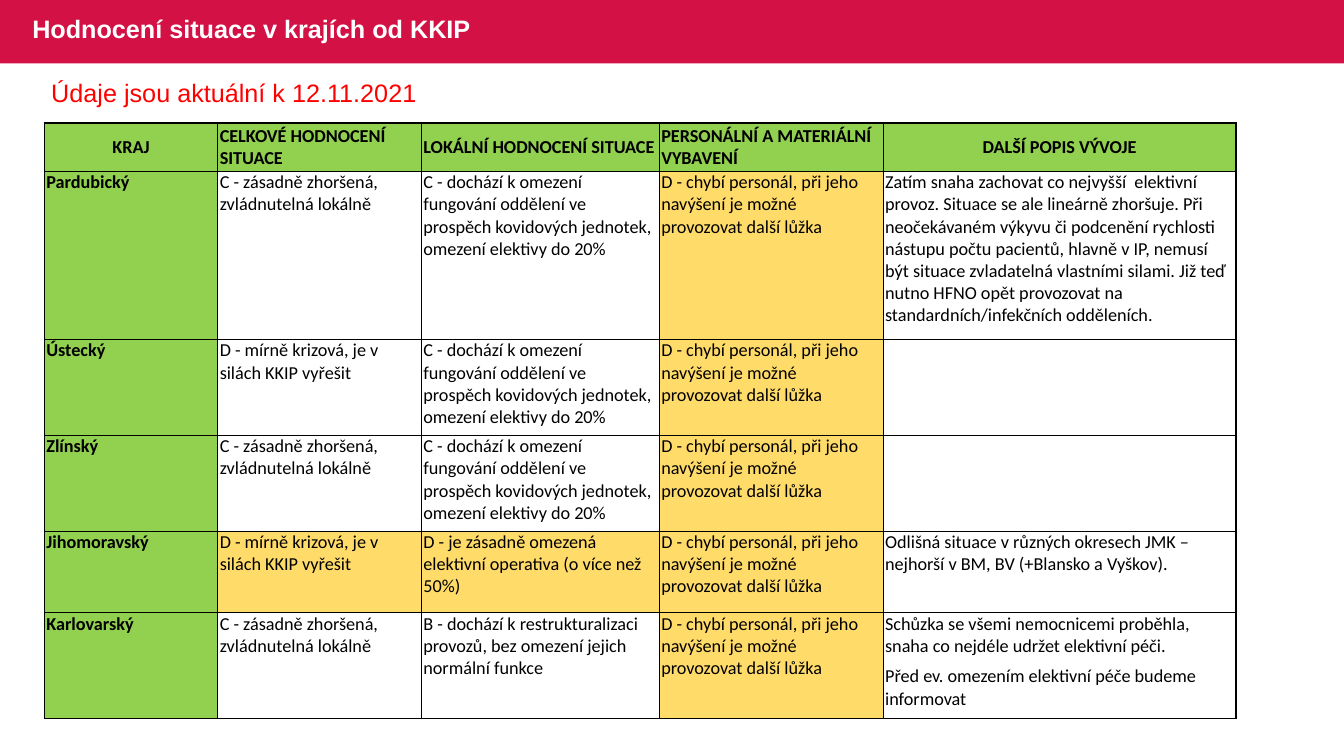
from dataclasses import dataclass

from lxml import etree
from pptx import Presentation
from pptx.dml.color import RGBColor
from pptx.enum import shapes, text
from pptx.oxml import ns
from pptx.util import Inches, Pt


@dataclass(frozen=True)
class Theme:
    crimson: str = "D31145"
    green: str = "92D050"
    amber: str = "FFDB69"
    red: str = "FF0000"
    white: str = "FFFFFF"
    black: str = "000000"
    heading_font: str = "Arial"
    table_font: str = "Calibri"
    heading_size: int = 18
    table_size: int = 13


THEME = Theme()

WORSE = "C - zásadně zhoršená, zvládnutelná lokálně"
CRISIS = "D - mírně krizová, je v silách KKIP vyřešit"
LIMITED = ("C - dochází k omezení fungování oddělení ve prospěch kovidových "
           "jednotek, omezení elektivy do 20%")
STAFF = "D - chybí personál, při jeho navýšení je možné provozovat další lůžka"

HEADERS = ["KRAJ", "CELKOVÉ HODNOCENÍ SITUACE", "LOKÁLNÍ HODNOCENÍ SITUACE",
           "PERSONÁLNÍ A MATERIÁLNÍ VYBAVENÍ", "DALŠÍ POPIS VÝVOJE"]
REGIONS = [
    ["Pardubický", WORSE, LIMITED, STAFF,
     "Zatím snaha zachovat co nejvyšší  elektivní provoz. Situace se ale "
     "lineárně zhoršuje. Při neočekávaném výkyvu či podcenění rychlosti "
     "nástupu počtu pacientů, hlavně v IP, nemusí být situace zvladatelná "
     "vlastními silami. Již teď nutno HFNO opět provozovat na "
     "standardních/infekčních odděleních."],
    ["Ústecký", CRISIS, LIMITED, STAFF, ""],
    ["Zlínský", WORSE, LIMITED, STAFF, ""],
    ["Jihomoravský", CRISIS,
     "D - je zásadně omezená elektivní operativa (o více než 50%)", STAFF,
     "Odlišná situace v různých okresech JMK – nejhorší v BM, BV "
     "(+Blansko a Vyškov)."],
    ["Karlovarský", WORSE,
     "B - dochází k restrukturalizaci provozů, bez omezení jejich normální funkce",
     STAFF,
     "Schůzka se všemi nemocnicemi proběhla, snaha co nejdéle udržet elektivní péči.\n"
     "Před ev. omezením elektivní péče budeme informovat"],
]
AMBER_CELLS = {(row, 3) for row in range(1, 6)} | {(4, 1), (4, 2)}
COLUMN_WIDTHS = [1.72, 2.02, 2.36, 2.22, 3.5]
ROW_HEIGHTS = [0.48, 1.67, 0.95, 0.95, 0.81, 1.05]


def write(frame, content, *, font, size, color, bold=False,
          align=text.PP_ALIGN.LEFT, spacing=None, gap=0):
    """Fill a text frame, one paragraph per line, with gap points between them."""
    frame.word_wrap = True
    for index, line in enumerate(content.split("\n")):
        paragraph = frame.add_paragraph() if index else frame.paragraphs[0]
        paragraph.alignment = align
        paragraph.space_before = Pt(gap if index else 0)
        if spacing:
            paragraph.line_spacing = spacing
        paragraph.font.size = Pt(size)
        if line:
            run = paragraph.add_run()
            run.text = line
            run.font.name = font
            run.font.size = Pt(size)
            run.font.bold = bold
            run.font.color.rgb = RGBColor.from_string(color)


def place(shape, left, top, width, height):
    shape.left, shape.top = Inches(left), Inches(top)
    shape.width, shape.height = Inches(width), Inches(height)


def add_band(slide):
    """Draw the header band behind the title."""
    band = slide.shapes.add_shape(shapes.MSO_SHAPE.RECTANGLE, 0, 0,
                                  Inches(13.33), Inches(0.63))
    band.shadow.inherit = False
    band.fill.solid()
    band.fill.fore_color.rgb = RGBColor.from_string(THEME.crimson)
    band.line.fill.background()
    slide.shapes.title._element.addprevious(band._element)


def add_title(slide, content):
    title = slide.shapes.title
    place(title, 0.22, -0.01, 8.14, 0.63)
    title.text_frame.vertical_anchor = text.MSO_ANCHOR.MIDDLE
    write(title.text_frame, content, font=THEME.heading_font,
          size=THEME.heading_size, color=THEME.white, bold=True, spacing=0.9)


def add_date_note(slide, content):
    note = slide.shapes.add_textbox(Inches(-0.28), Inches(0.72),
                                    Inches(5.2), Inches(0.4))
    write(note.text_frame, content, font=THEME.heading_font,
          size=THEME.heading_size, color=THEME.red, align=text.PP_ALIGN.CENTER)


def add_borders(cell):
    """Put a thin line on all four sides, ahead of the cell fill as the schema asks."""
    properties = cell._tc.get_or_add_tcPr()
    for position, side in enumerate(("lnL", "lnR", "lnT", "lnB")):
        line = etree.Element(ns.qn(f"a:{side}"), w=str(Pt(1)))
        fill = etree.SubElement(line, ns.qn("a:solidFill"))
        etree.SubElement(fill, ns.qn("a:srgbClr"), val=THEME.black)
        properties.insert(position, line)


def format_cell(cell, content, row, column):
    is_header = row == 0
    cell.margin_left = cell.margin_right = Inches(0.02)
    cell.margin_top = cell.margin_bottom = 0
    cell.vertical_anchor = text.MSO_ANCHOR.MIDDLE if is_header else text.MSO_ANCHOR.TOP
    if is_header or column == 0 or (row, column) in AMBER_CELLS:
        color = THEME.amber if (row, column) in AMBER_CELLS else THEME.green
        cell.fill.solid()
        cell.fill.fore_color.rgb = RGBColor.from_string(color)
    else:
        cell.fill.background()
    add_borders(cell)
    centred = is_header and column in (0, len(HEADERS) - 1)
    write(cell.text_frame, content, font=THEME.table_font, size=THEME.table_size,
          color=THEME.black, bold=is_header or column == 0, gap=6,
          align=text.PP_ALIGN.CENTER if centred else text.PP_ALIGN.LEFT)


def add_region_table(slide):
    rows = [HEADERS, *REGIONS]
    table = slide.shapes.add_table(
        len(rows), len(HEADERS), Inches(0.44), Inches(1.22),
        Inches(sum(COLUMN_WIDTHS)), Inches(sum(ROW_HEIGHTS))).table
    table.horz_banding = False
    for column, width in zip(table.columns, COLUMN_WIDTHS):
        column.width = Inches(width)
    for row, height in zip(table.rows, ROW_HEIGHTS):
        row.height = Inches(height)
    for row, contents in enumerate(rows):
        for column, content in enumerate(contents):
            format_cell(table.cell(row, column), content, row, column)


def main():
    deck = Presentation()
    deck.slide_width, deck.slide_height = Inches(13.33), Inches(7.5)
    slide = deck.slides.add_slide(deck.slide_layouts.get_by_name("Title Only"))
    add_band(slide)
    add_title(slide, "Hodnocení situace v krajích od KKIP")
    add_region_table(slide)
    add_date_note(slide, "Údaje jsou aktuální k 12.11.2021")
    deck.save("out.pptx")


if __name__ == "__main__":
    main()
